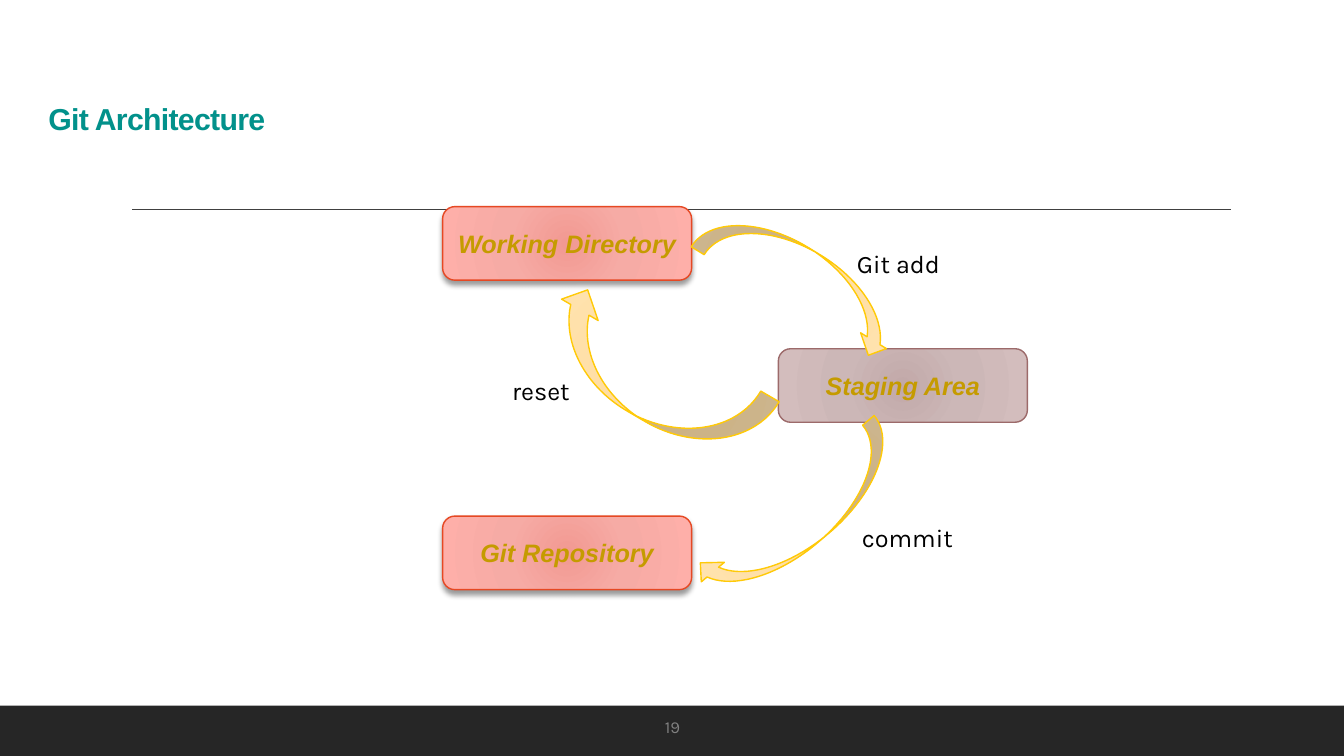
from dataclasses import dataclass

from lxml import etree
from pptx import Presentation
from pptx.dml.color import RGBColor
from pptx.enum.shapes import MSO_CONNECTOR, MSO_SHAPE
from pptx.enum.text import MSO_ANCHOR, MSO_AUTO_SIZE, PP_ALIGN
from pptx.oxml.ns import qn
from pptx.util import Pt

PIXEL = 9144  # EMU: 100 px to the inch
RECTANGLE = MSO_SHAPE.RECTANGLE
ROUNDED = MSO_SHAPE.ROUNDED_RECTANGLE
CURVED_ARROW = MSO_SHAPE.CURVED_DOWN_ARROW
STRAIGHT = MSO_CONNECTOR.STRAIGHT
LEFT, CENTER = PP_ALIGN.LEFT, PP_ALIGN.CENTER
MIDDLE, BOTTOM = MSO_ANCHOR.MIDDLE, MSO_ANCHOR.BOTTOM
NO_AUTOFIT = MSO_AUTO_SIZE.NONE
TITLE_ONLY_LAYOUT = 5


@dataclass(frozen=True)
class Theme:
    heading_font: str = "Arial"
    body_font: str = "Karla"
    title_size: float = 21.6
    text_size: int = 18
    number_size: int = 12
    title: str = "02918B"
    text: str = "000000"
    stage_text: str = "C59B00"
    number: str = "808080"
    band: str = "262626"
    rule: str = "404040"
    shadow: str = "000000"
    # Gradient from centre to edge, then the outline
    red: tuple = ("F29992", "F6ABA5", "FEAFA9", "E64823")
    mauve: tuple = ("C2A9A9", "CCB7B7", "D3BDBD", "9C6A6A")
    yellow: tuple = ("FFD993", "FFE0A9", "FFE4B4", "FFCA08")


THEME = Theme()


def px(*lengths):
    return [length * PIXEL for length in lengths]


def add_element(parent, tag, **attributes):
    values = {name: str(value) for name, value in attributes.items()}
    return etree.SubElement(parent, qn(tag), values)


def write(paragraph, text, size, color, font=THEME.body_font,
          bold=False, italic=False, align=LEFT):
    paragraph.text = text
    paragraph.alignment = align
    paragraph.font.name = font
    paragraph.font.size = Pt(size)
    paragraph.font.bold = bold
    paragraph.font.italic = italic
    paragraph.font.color.rgb = RGBColor.from_string(color)


def add_gradient_shape(slide, kind, box, palette):
    shape = slide.shapes.add_shape(kind, *px(*box))
    *stops, outline = palette
    shape.line.color.rgb = RGBColor.from_string(outline)
    shape.line.width = Pt(1)
    shape.shadow.inherit = False

    # Circular gradient around the centre
    shape.fill.background()
    properties = shape.element.spPr
    gradient = etree.Element(qn("a:gradFill"), rotWithShape="1")
    stop_list = add_element(gradient, "a:gsLst")
    for position, color in zip((0, 45000, 100000), stops):
        stop = add_element(stop_list, "a:gs", pos=position)
        add_element(stop, "a:srgbClr", val=color)
    circle = add_element(gradient, "a:path", path="circle")
    add_element(circle, "a:fillToRect", l=100000, t=100000, r=100000, b=100000)
    properties.replace(properties.find(qn("a:noFill")), gradient)
    return shape


def add_drop_shadow(shape):
    effects = shape.element.spPr.find(qn("a:effectLst"))
    shadow = add_element(effects, "a:outerShdw", blurRad=Pt(4), dist=Pt(3),
                         dir=90 * 60000, rotWithShape=0)
    color = add_element(shadow, "a:srgbClr", val=THEME.shadow)
    add_element(color, "a:alpha", val=40000)


def add_stage(slide, left, top, text, palette, raised):
    stage = add_gradient_shape(slide, ROUNDED, (left, top, 247, 73), palette)
    if raised:
        add_drop_shadow(stage)
    frame = stage.text_frame
    frame.vertical_anchor = MIDDLE
    write(frame.paragraphs[0], text, THEME.text_size, THEME.stage_text,
          THEME.heading_font, bold=True, italic=True, align=CENTER)


def add_label(slide, box, text, size=THEME.text_size, color=THEME.text, align=LEFT):
    frame = slide.shapes.add_textbox(*px(*box)).text_frame
    frame.word_wrap = True
    write(frame.paragraphs[0], text, size, color, align=align)


def add_frame(slide, width, height):
    # Footer band
    band_height = 50
    band_top = height - band_height
    band = slide.shapes.add_shape(RECTANGLE, *px(0, band_top, width, band_height))
    band.fill.solid()
    band.fill.fore_color.rgb = RGBColor.from_string(THEME.band)
    band.line.fill.background()
    band.shadow.inherit = False

    # Rule below the title
    rule = slide.shapes.add_connector(STRAIGHT, *px(131, 208, 1221, 208))
    rule.line.color.rgb = RGBColor.from_string(THEME.rule)
    rule.line.width = Pt(1)
    add_element(rule.element.spPr, "a:effectLst")

    # Page number
    add_label(slide, (634, band_top + 6, 66, 30), "19",
              THEME.number_size, THEME.number, CENTER)


def add_title(slide, box, text):
    title = slide.shapes.title
    title.left, title.top, title.width, title.height = px(*box)
    frame = title.text_frame
    frame.auto_size = NO_AUTOFIT
    frame.vertical_anchor = BOTTOM
    paragraph = frame.paragraphs[0]
    paragraph.line_spacing = 0.9
    write(paragraph, text, THEME.title_size, THEME.title,
          THEME.heading_font, bold=True)
    for run_defaults in title.element.iter(qn("a:defRPr")):
        run_defaults.set("spc", "-50")


def add_git_cycle(slide, left, top):
    # Stages
    for x, y, text, palette, raised in (
        (0, 0, "Working Directory", THEME.red, True),
        (0, 307, "Git Repository", THEME.red, True),
        (333, 141, "Staging Area", THEME.mauve, False),
    ):
        add_stage(slide, left + x, top + y, text, palette, raised)

    # Commands: arrow box, rotation, label box
    for (x, y, *size), rotation, (label_x, label_y, label_width), text in (
        ((246, 42, 221, 60), 31.5, (401, 36, 111), "Git add"),
        ((235, 278, 241, 60), 139.7, (406, 308, 121), "commit"),
        ((88, 127, 241, 84), 210.3, (59, 162, 155), "reset"),
    ):
        arrow = add_gradient_shape(slide, CURVED_ARROW,
                                   (left + x, top + y, *size), THEME.yellow)
        arrow.rotation = rotation
        add_label(slide, (left + label_x, top + label_y, label_width, 40), text)


def main():
    width, height = 1333, 750
    presentation = Presentation()
    presentation.slide_width, presentation.slide_height = px(width, height)
    slide = presentation.slides.add_slide(presentation.slide_layouts[TITLE_ONLY_LAYOUT])
    add_frame(slide, width, height)
    add_title(slide, (38, 101, 879, 40), "Git Architecture")
    add_git_cycle(slide, 439, 205)
    presentation.save("out.pptx")


if __name__ == "__main__":
    main()
